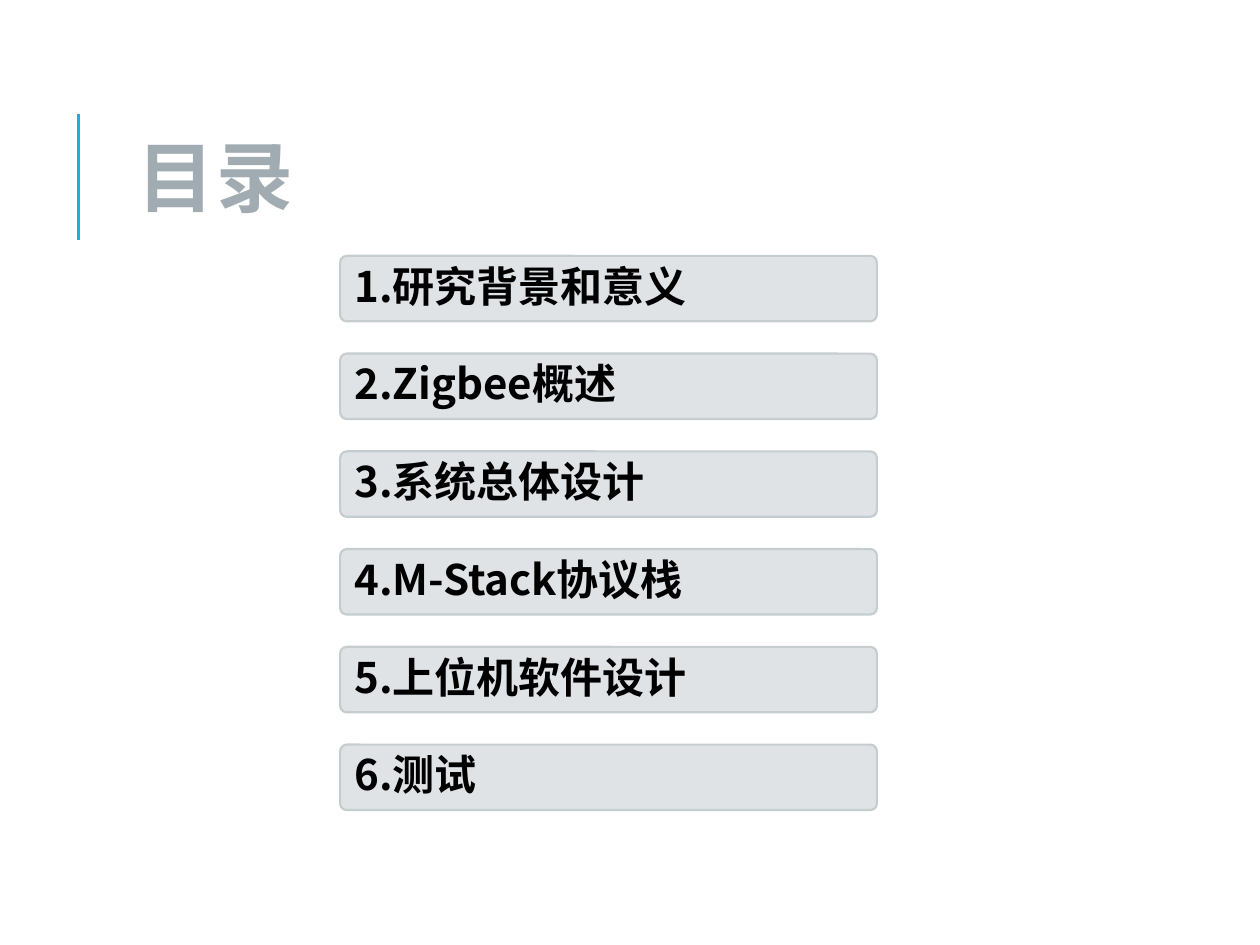
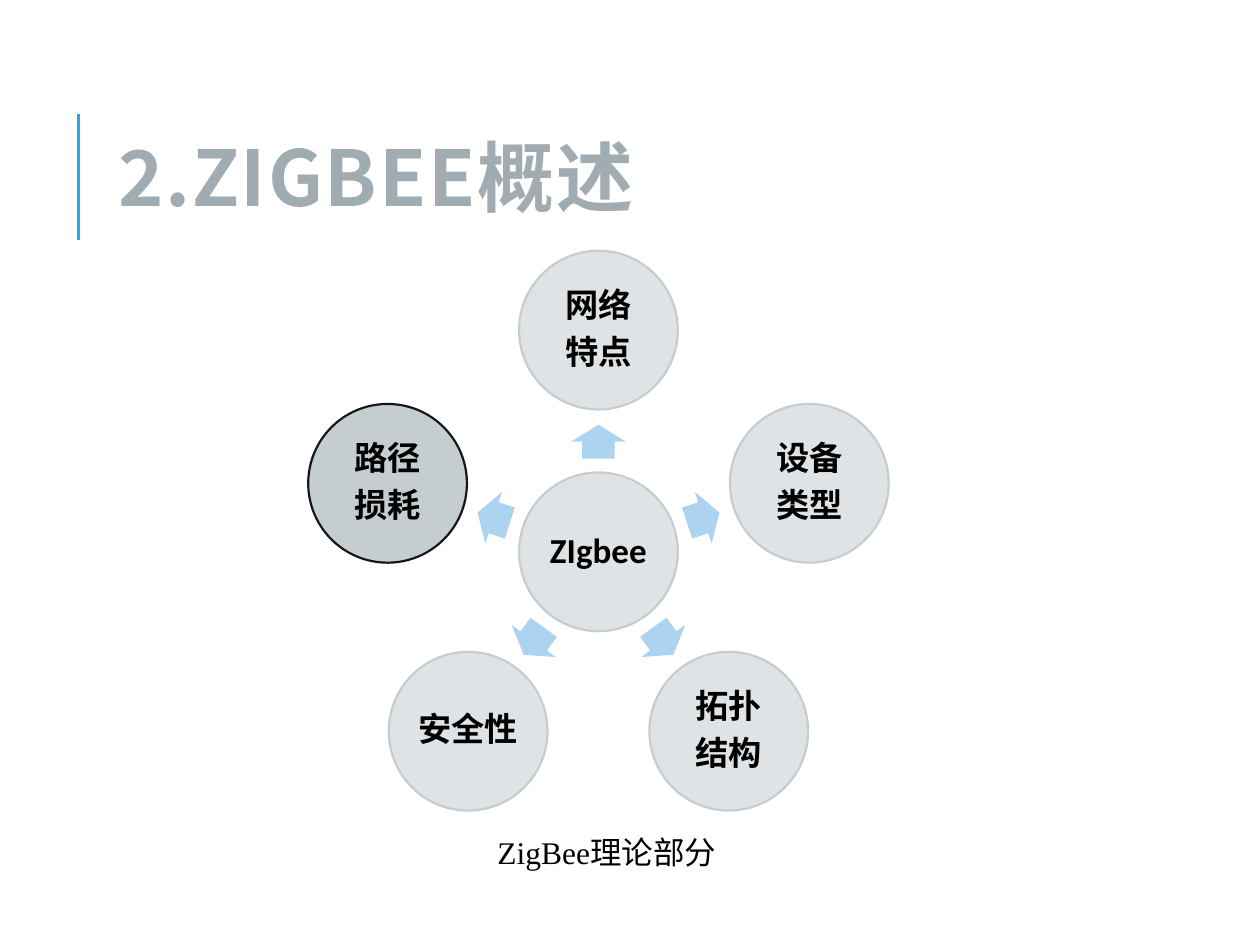
import math
from collections import namedtuple

from lxml import etree
from pptx import Presentation
from pptx import util as u
from pptx.dml.color import RGBColor
from pptx.enum import shapes, text
from pptx.oxml import ns

Box = namedtuple("Box", "left top width height")

COLOURS = {
    "accent": "1CADE4",
    "title": "A1ACB2",
    "panel": "DFE3E5",
    "edge": "C6CDD1",
    "dark_edge": "141719",
    "arrow": "ACD3EF",
    "ink": "000000",
}
SANS = "Noto Sans CJK SC"
CHAPTERS = ["1.研究背景和意义", "2.Zigbee概述", "3.系统总体设计",
            "4.M-Stack协议栈", "5.上位机软件设计", "6.测试"]
TOPICS = ["网络\n特点", "设备\n类型", "拓扑\n结构", "安全性", "路径\n损耗"]


def colour(name):
    return RGBColor.from_string(COLOURS[name])


def lengths(box):
    return [u.Pt(value) for value in box]


def write(shape, wording, size, font=SANS, ink="ink", bold=True, align="LEFT",
          anchor="MIDDLE", insets=(7.2, 3.6, 7.2, 3.6), line_spacing=None,
          after_percent=None, tracking=None):
    frame = shape.text_frame
    frame.word_wrap = True
    frame.vertical_anchor = text.MSO_ANCHOR[anchor]
    (frame.margin_left, frame.margin_top,
     frame.margin_right, frame.margin_bottom) = lengths(insets)
    for index, line in enumerate(wording.split("\n")):
        para = frame.add_paragraph() if index else frame.paragraphs[0]
        para.alignment = text.PP_ALIGN[align]
        if line_spacing:
            para.line_spacing = line_spacing
        if after_percent:
            after = etree.SubElement(para._p.get_or_add_pPr(), ns.qn("a:spcAft"))
            etree.SubElement(after, ns.qn("a:spcPct"), val=str(after_percent * 1000))
        span = para.add_run()
        span.text = line
        span.font.name = font
        span.font.size = u.Pt(size)
        span.font.bold = bold
        span.font.color.rgb = colour(ink)
        properties = span.font._element
        etree.SubElement(properties, ns.qn("a:ea"), typeface=SANS)
        if tracking:
            properties.set("spc", str(tracking * 100))


def add_panel(page, kind, box, fill="panel", edge="edge"):
    shape = page.shapes.add_shape(shapes.MSO_SHAPE[kind], *lengths(box))
    shape.shadow.inherit = False
    shape.fill.solid()
    shape.fill.fore_color.rgb = colour(fill)
    if edge:
        shape.line.color.rgb = colour(edge)
        shape.line.width = u.Pt(1.25)
    else:
        shape.line.fill.background()
    return shape


def add_heading(page, box, wording, indent=0):
    x = box.left - 15.7
    rule = page.shapes.add_connector(
        shapes.MSO_CONNECTOR.STRAIGHT,
        *lengths((x, box.top + 90.8, x, box.top + 18.8)))
    rule.line.color.rgb = colour("accent")
    rule.line.width = u.Pt(1.5)
    etree.SubElement(rule._element.spPr, ns.qn("a:effectLst"))
    title = page.shapes.add_textbox(*lengths(box))
    write(title, wording, 44, ink="title", line_spacing=0.8, tracking=1,
          insets=(7.2 + indent, 3.6, 7.2, 3.6))


def add_chapter_list(page, box, chapters):
    height = 37.4
    pitch = (box.height - height) / (len(chapters) - 1)
    for index, chapter in enumerate(chapters):
        bar = add_panel(page, "ROUNDED_RECTANGLE",
                        Box(box.left, box.top + index * pitch, box.width, height))
        bar.adjustments[0] = 0.1
        write(bar, chapter, 24, insets=(7.2,) * 4, line_spacing=0.9,
              after_percent=35)


def add_circle(page, x, y, wording, size, **style):
    diameter = 90.7
    circle = add_panel(page, "OVAL", Box(x - diameter / 2, y - diameter / 2,
                                         diameter, diameter), **style)
    write(circle, wording, size, font="Calibri", align="CENTER",
          insets=(2.2,) * 4, line_spacing=0.9, after_percent=35)


def add_topic_wheel(page, box, hub, topics, highlighted):
    orbit, arrow_orbit = 126.7, 63
    length, breadth = 19.4, 31
    x = box.left + box.width / 2
    y = box.top + 45.35 + orbit
    add_circle(page, x, y, hub, 20)
    for index, topic in enumerate(topics):
        degrees = -90 + index * 360 / len(topics)
        across = math.cos(math.radians(degrees))
        down = math.sin(math.radians(degrees))
        arrow = add_panel(page, "RIGHT_ARROW",
                          Box(x + arrow_orbit * across - length / 2,
                              y + arrow_orbit * down - breadth / 2,
                              length, breadth), "arrow", None)
        arrow.adjustments[0], arrow.adjustments[1] = 0.6, 0.5
        arrow.rotation = degrees % 360
        style = {"fill": "edge", "edge": "dark_edge"} if topic == highlighted else {}
        add_circle(page, x + orbit * across, y + orbit * down, topic, 19, **style)


def add_caption(page, box, wording):
    caption = page.shapes.add_textbox(*lengths(box))
    write(caption, wording, 18, font="Times New Roman", bold=False, anchor="TOP")


def main():
    deck = Presentation()
    deck.slide_width, deck.slide_height = u.Pt(720), u.Pt(540)
    blank = deck.slide_layouts[6]
    heading_box = Box(60.5, 46.1, 573.8, 118.1)

    contents = deck.slides.add_slide(blank)
    add_heading(contents, heading_box, "目录", indent=11)
    add_chapter_list(contents, Box(194.4, 146.2, 306.7, 316.7), CHAPTERS)

    overview = deck.slides.add_slide(blank)
    add_heading(overview, heading_box, "2.ZIGBEE概述")
    add_topic_wheel(overview, Box(176, 143.3, 332, 320), "ZIgbee", TOPICS, TOPICS[-1])
    add_caption(overview, Box(277.2, 472.3, 141.1, 28.8), "ZigBee理论部分")

    deck.save("out.pptx")


if __name__ == "__main__":
    main()
